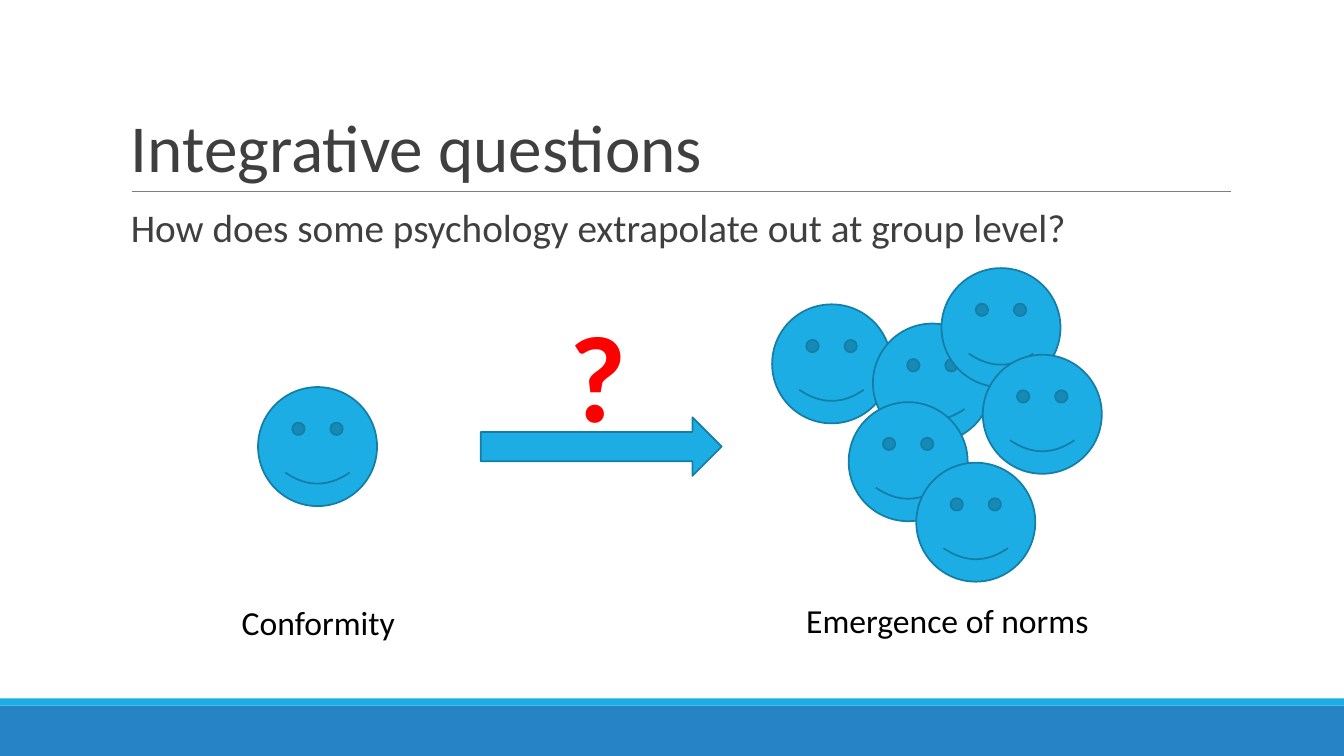
from lxml import etree
from pptx import Presentation
from pptx.dml.color import RGBColor
from pptx.enum.shapes import MSO_CONNECTOR, MSO_SHAPE
from pptx.enum.text import MSO_ANCHOR
from pptx.oxml.ns import qn
from pptx.util import Pt

RECTANGLE, SMILEY = MSO_SHAPE.RECTANGLE, MSO_SHAPE.SMILEY_FACE
ARROW = MSO_SHAPE.RIGHT_ARROW
TOP, BOTTOM = MSO_ANCHOR.TOP, MSO_ANCHOR.BOTTOM

SLIDE_SIZE = (960, 540)
CYAN, BLUE, OUTLINE = "1CADE4", "2683C6", "147EA6"
GREY, BLACK, RED, RULE_GREY = "3F3F3F", "000000", "FF0000", "7F7F7F"

# text, (left, top, width, height), anchor, line spacing, font
HEADINGS = [
    ("Integrative questions", (86.4, 22.3, 792, 114.5), BOTTOM, 0.85,
     {"size": 48, "color": GREY}),
    ("How does some psychology extrapolate out at group level?",
     (86.4, 145.4, 792, 316.8), TOP, 0.9, {"size": 28, "color": GREY}),
]
LABELS = [
    ("Emergence of norms", (568.8, 424.8, 236.9, 36), TOP, 1,
     {"size": 24, "color": BLACK}),
    ("Conformity", (165.6, 426.2, 177.8, 36), TOP, 1,
     {"size": 24, "color": BLACK}),
]
QUESTION_MARK = ("?", (399.6, 210.2, 60.5, 99.4), TOP, 1,
                 {"size": 88, "color": RED, "bold": True})

FOOTER_BARS = [((0, 504, 960, 36), BLUE), ((0, 498.96, 960, 5.04), CYAN)]
TITLE_RULE = (94.3, 136.8, 879.1, 136.8)
ARROW_BOX = (343.4, 298.1, 172.1, 41.8)
FACE_SIZE = 85
SMILE = 0.047
INDIVIDUAL = (184.3, 276.5)
GROUP = [(551.5, 217.4), (623.5, 231.1), (606.2, 287.3),
         (672.5, 191.5), (702, 253.4), (654.5, 330.5)]


def color(hex_value):
    return RGBColor.from_string(hex_value)


def points(values):
    return [Pt(value) for value in values]


def add_filled(slide, kind, box, fill, outline=None):
    shape = slide.shapes.add_shape(kind, *points(box))
    shape.shadow.inherit = False
    shape.fill.solid()
    shape.fill.fore_color.rgb = color(fill)
    if outline:
        shape.line.color.rgb = color(outline)
        shape.line.width = Pt(1.25)
    else:
        shape.line.fill.background()
    return shape


def add_face(slide, position):
    face = add_filled(slide, SMILEY, (*position, FACE_SIZE, FACE_SIZE), CYAN, OUTLINE)
    face.adjustments[0] = SMILE


def add_text(slide, text, box, anchor, spacing, font_format):
    frame = slide.shapes.add_textbox(*points(box)).text_frame
    frame.word_wrap = True
    frame.vertical_anchor = anchor
    paragraph = frame.paragraphs[0]
    paragraph.line_spacing = spacing
    run = paragraph.add_run()
    run.text = text
    values = {"name": "Calibri", **font_format}
    run.font.color.rgb = color(values.pop("color"))
    values["size"] = Pt(values["size"])
    for name, value in values.items():
        setattr(run.font, name, value)


def add_rule(slide, ends):
    rule = slide.shapes.add_connector(MSO_CONNECTOR.STRAIGHT, *points(ends))
    rule.line.color.rgb = color(RULE_GREY)
    rule.line.width = Pt(0.75)
    etree.SubElement(rule.element.spPr, qn("a:effectLst"))


def main():
    presentation = Presentation()
    presentation.slide_width, presentation.slide_height = points(SLIDE_SIZE)
    slide = presentation.slides.add_slide(presentation.slide_layouts[6])

    for box, fill in FOOTER_BARS:
        add_filled(slide, RECTANGLE, box, fill)
    add_rule(slide, TITLE_RULE)
    for text in LABELS + HEADINGS:
        add_text(slide, *text)

    add_face(slide, INDIVIDUAL)
    add_filled(slide, ARROW, ARROW_BOX, CYAN, OUTLINE)
    for position in GROUP:
        add_face(slide, position)
    add_text(slide, *QUESTION_MARK)

    presentation.save("out.pptx")


if __name__ == "__main__":
    main()
